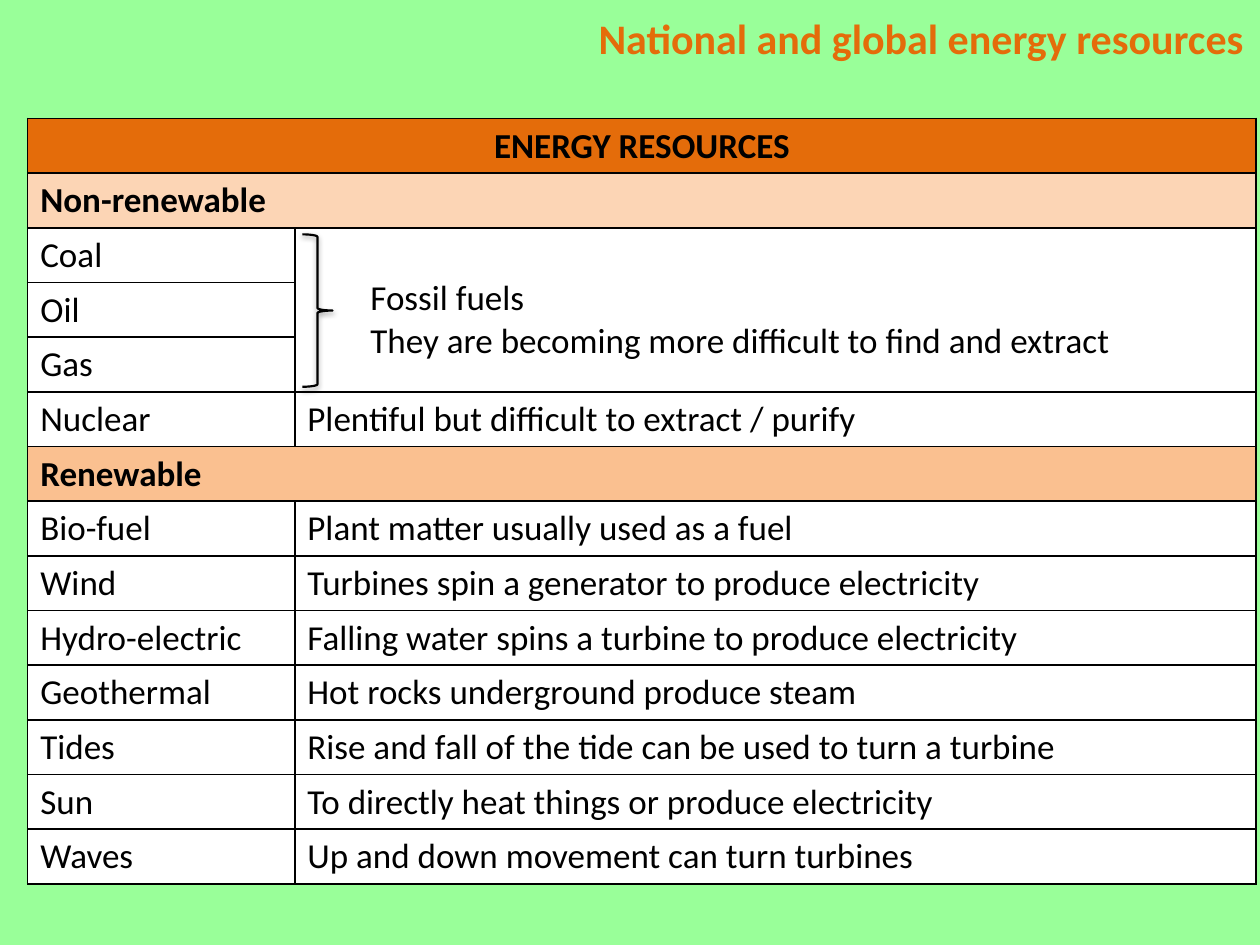
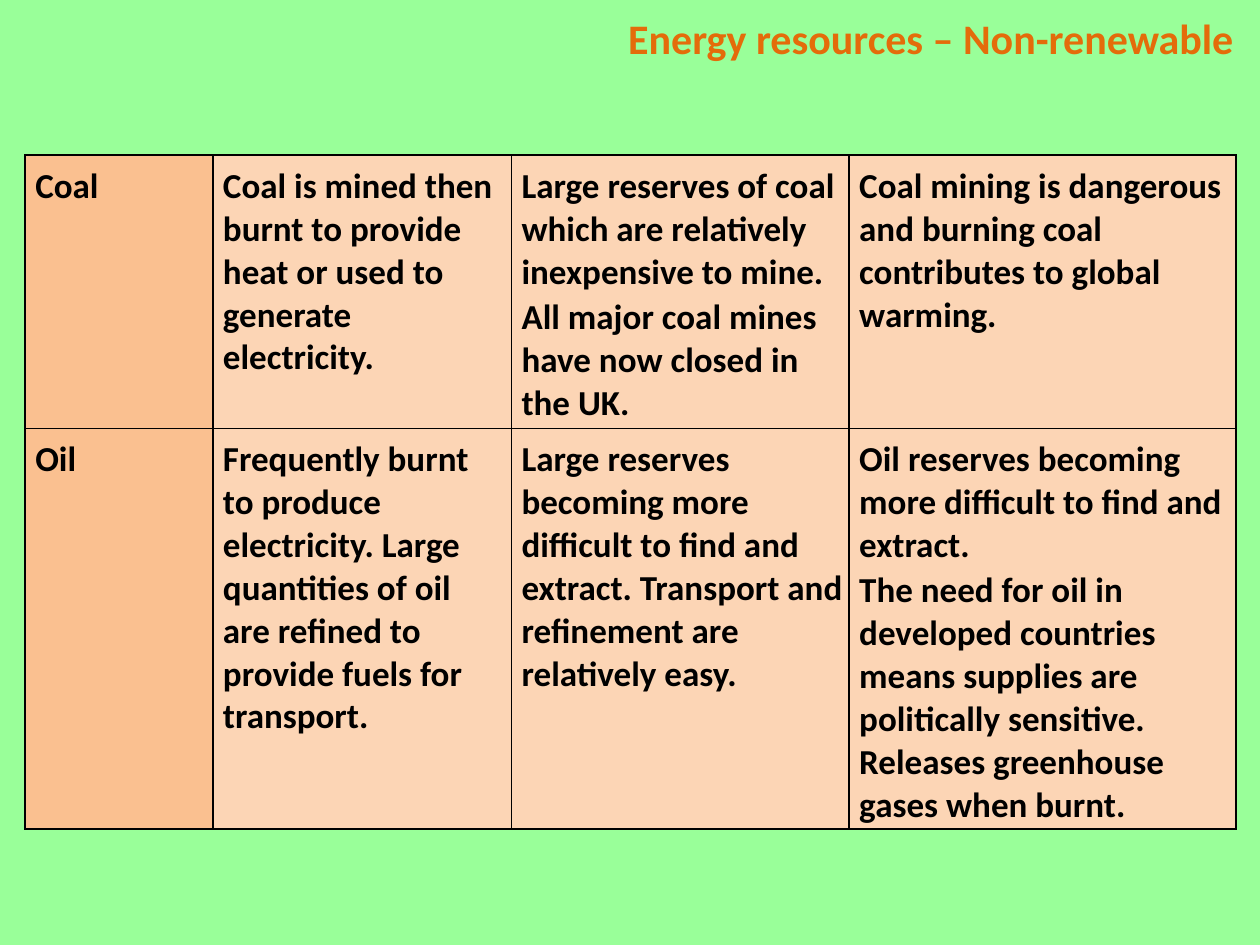
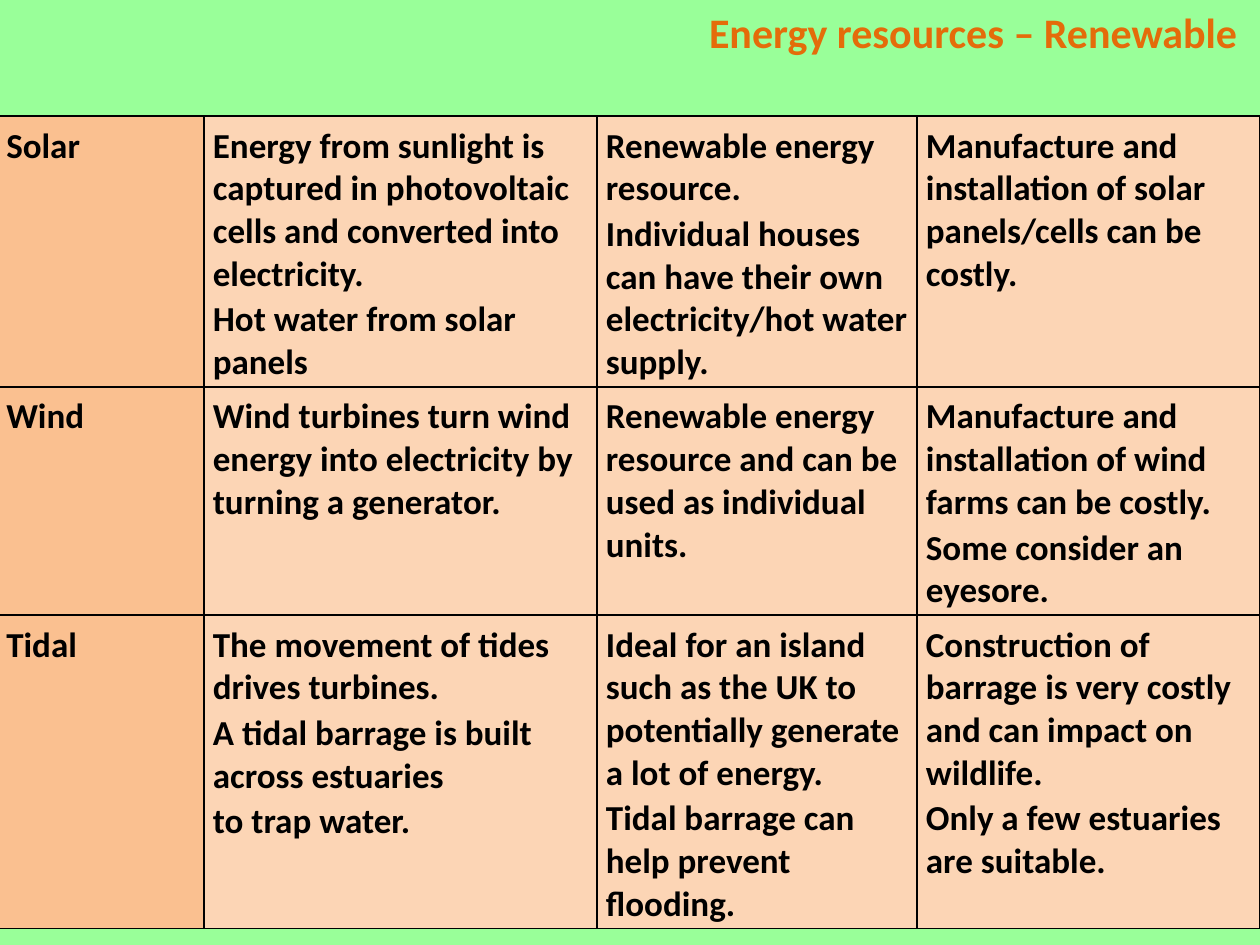
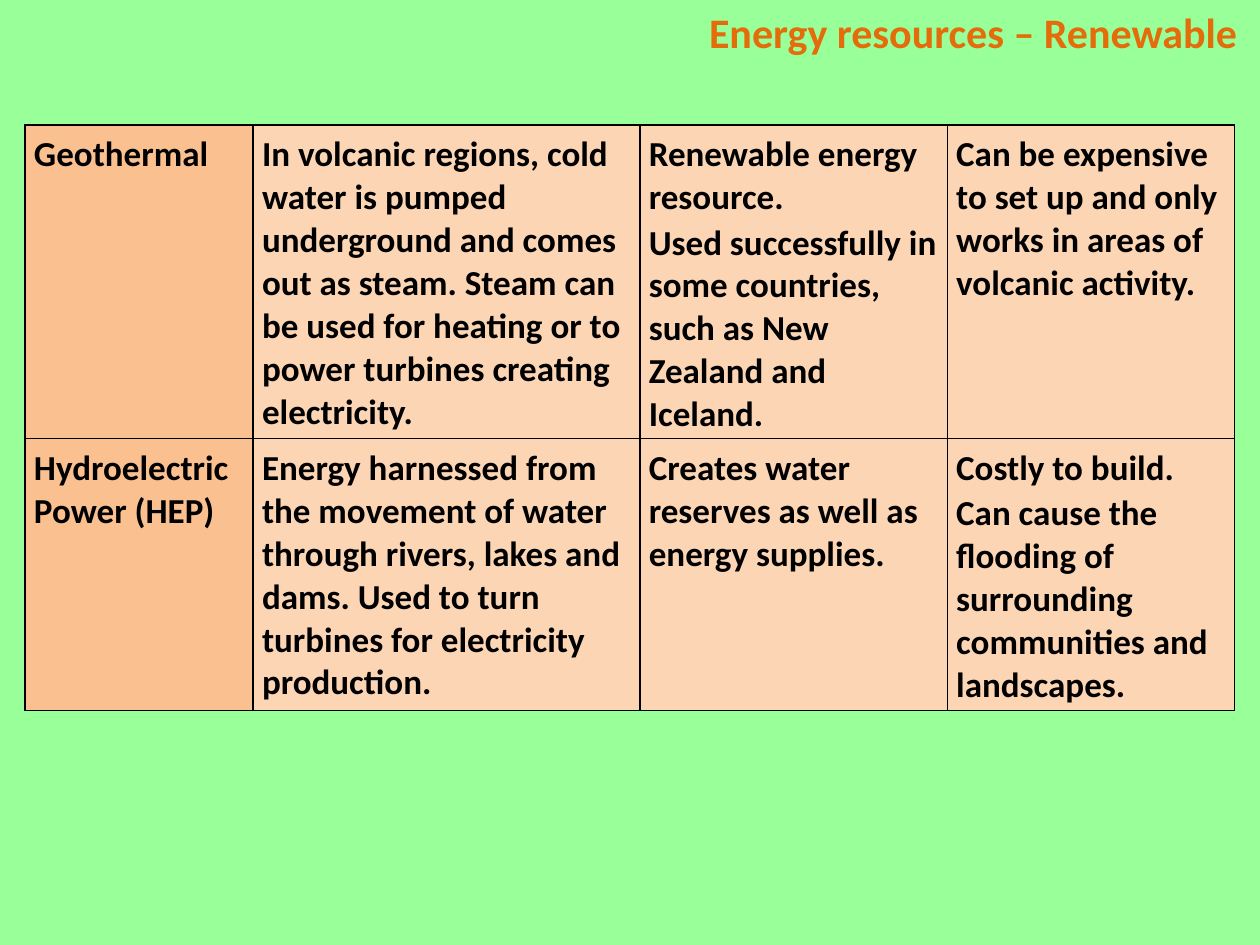
from lxml import etree
from pptx import Presentation
from pptx.dml.color import RGBColor
from pptx.enum.shapes import MSO_SHAPE
from pptx.enum.text import MSO_AUTO_SIZE, PP_ALIGN
from pptx.oxml import parse_xml
from pptx.oxml.ns import nsdecls
from pptx.util import Inches, Pt

RIGHT, CENTER, LEFT = PP_ALIGN.RIGHT, PP_ALIGN.CENTER, PP_ALIGN.LEFT
FIT_SHAPE = MSO_AUTO_SIZE.SHAPE_TO_FIT_TEXT
RIGHT_BRACE = MSO_SHAPE.RIGHT_BRACE

GREEN = RGBColor(0x99, 0xFF, 0x99)
ORANGE = RGBColor(0xE4, 0x6C, 0x0A)
PEACH = RGBColor(0xFA, 0xC0, 0x90)
PALE_PEACH = RGBColor(0xFC, 0xD5, 0xB5)
WHITE = RGBColor(0xFF, 0xFF, 0xFF)
BLACK = RGBColor(0x00, 0x00, 0x00)
FONT = "Calibri"

deck = Presentation()
deck.slide_width, deck.slide_height = Inches(10), Inches(7.5)


def add_page(title, title_left, title_top, title_gap, left, top, widths, heights):
    page = deck.slides.add_slide(deck.slide_layouts[6])
    page.background.fill.solid()
    page.background.fill.fore_color.rgb = GREEN

    box = page.shapes.add_textbox(
        Inches(title_left), Inches(title_top), Inches(8.54), Inches(0.5))
    frame = box.text_frame
    frame.word_wrap = True
    frame.auto_size = FIT_SHAPE
    frame.margin_right = Inches(title_gap)
    para = frame.paragraphs[0]
    para.text = title
    para.alignment = RIGHT
    para.font.name, para.font.size, para.font.bold = FONT, Pt(24), True
    para.font.color.rgb = ORANGE

    table = page.shapes.add_table(
        len(heights), len(widths), Inches(left), Inches(top),
        Inches(sum(widths)), Inches(sum(heights))).table
    table.first_row = table.horz_banding = False
    for column, width in zip(table.columns, widths):
        column.width = Inches(width)
    for row, height in zip(table.rows, heights):
        row.height = Inches(height)
    for cell in table.iter_cells():
        properties = cell._tc.get_or_add_tcPr()
        for side in ("lnL", "lnR", "lnT", "lnB"):
            properties.append(parse_xml(
                f'<a:{side} {nsdecls("a")} w="12700"><a:solidFill>'
                f'<a:srgbClr val="{BLACK}"/></a:solidFill></a:{side}>'))
    return page, table


def write_cell(cell, text, fill, bold, margins, before=0, after=0, align=LEFT):
    cell.fill.solid()
    cell.fill.fore_color.rgb = fill
    (cell.margin_left, cell.margin_top,
     cell.margin_right, cell.margin_bottom) = [Inches(margin) for margin in margins]
    cell.text = text
    for para in cell.text_frame.paragraphs:
        para.alignment = align
        para.space_before, para.space_after = Pt(before), Pt(after)
        para.font.name, para.font.size, para.font.bold = FONT, Pt(20), bold
        para.font.color.rgb = BLACK


resources = [
    ("ENERGY RESOURCES",),
    ("Non-renewable",),
    ("Coal", "Fossil fuels\nThey are becoming more difficult to find and extract"),
    ("Oil",),
    ("Gas",),
    ("Nuclear", "Plentiful but difficult to extract / purify"),
    ("Renewable",),
    ("Bio-fuel", "Plant matter usually used as a fuel"),
    ("Wind", "Turbines spin a generator to produce electricity"),
    ("Hydro-electric", "Falling water spins a turbine to produce electricity"),
    ("Geothermal", "Hot rocks underground produce steam"),
    ("Tides", "Rise and fall of the tide can be used to turn a turbine"),
    ("Sun", "To directly heat things or produce electricity"),
    ("Waves", "Up and down movement can turn turbines"),
]
bands = {"ENERGY RESOURCES": ORANGE, "Non-renewable": PALE_PEACH, "Renewable": PEACH}
plain_margins = (0.1, 0.05, 0.1, 0.05)
fossil_margins = (0.6, 0.39, 0.1, 0.05)

page, table = add_page("National and global energy resources", 1.43, 0.05, 0.1,
                       0.22, 0.94, (2.12, 7.63), [6.07 / len(resources)] * len(resources))
for row, texts in enumerate(resources):
    name = texts[0]
    if name in bands:
        table.cell(row, 0).merge(table.cell(row, 1))
    for column, text in enumerate(texts):
        write_cell(table.cell(row, column), text, bands.get(name, WHITE), name in bands,
                   fossil_margins if "\n" in text else plain_margins,
                   align=CENTER if row == 0 else LEFT)
table.cell(2, 1).merge(table.cell(4, 1))

brace = page.shapes.add_shape(
    RIGHT_BRACE, Inches(2.4), Inches(1.86), Inches(0.24), Inches(1.21))
brace.fill.background()
brace.line.color.rgb = BLACK
brace.line.width = Pt(1.25)
brace.shadow.inherit = False
effects = brace._element.spPr.find("{*}effectLst")
shadow = etree.SubElement(effects, effects.tag.replace("effectLst", "outerShdw"),
                          blurRad=str(Pt(3.1)), dist=str(Pt(1.6)), dir="5400000",
                          rotWithShape="0")
shadow.append(parse_xml(
    f'<a:srgbClr {nsdecls("a")} val="{BLACK}"><a:alpha val="38000"/></a:srgbClr>'))

comparisons = [
    (("Energy resources – Non-renewable", 1.43, 0.05, 0.18,
      0.2, 1.23, (1.49, 2.37, 2.68, 3.07), (2.17, 3.18)), 0.08, [
        ("Coal",
         "Coal is mined then burnt to provide heat or used to generate electricity.",
         "Large reserves of coal which are relatively inexpensive to mine.\n"
         "All major coal mines have now closed in the UK.",
         "Coal mining is dangerous and burning coal contributes to global warming."),
        ("Oil",
         "Frequently burnt to produce electricity. Large quantities of oil are refined "
         "to provide fuels for transport.",
         "Large reserves becoming more difficult to find and extract. Transport and "
         "refinement are relatively easy.",
         "Oil reserves becoming more difficult to find and extract.\n"
         "The need for oil in developed countries means supplies are politically "
         "sensitive. Releases greenhouse gases when burnt."),
    ]),
    (("Energy resources – Renewable", 1.46, 0, 0.18,
      -0.02, 0.92, (1.64, 3.12, 2.54, 2.72), (2.15, 1.81, 2.49)), 0.07, [
        ("Solar",
         "Energy from sunlight is captured in photovoltaic cells and converted into "
         "electricity.\nHot water from solar panels",
         "Renewable energy resource.\n"
         "Individual houses can have their own electricity/hot water supply.",
         "Manufacture and installation of solar panels/cells can be costly."),
        ("Wind",
         "Wind turbines turn wind energy into electricity by turning a generator.",
         "Renewable energy resource and can be used as individual units.",
         "Manufacture and installation of wind farms can be costly.\n"
         "Some consider an eyesore."),
        ("Tidal",
         "The movement of tides drives turbines.\n"
         "A tidal barrage is built across estuaries\nto trap water.",
         "Ideal for an island such as the UK to potentially generate a lot of energy.\n"
         "Tidal barrage can help prevent flooding.",
         "Construction of barrage is very costly and can impact on wildlife.\n"
         "Only a few estuaries are suitable."),
    ]),
    (("Energy resources – Renewable", 1.46, 0, 0.18,
      0.2, 0.99, (1.81, 3.07, 2.44, 2.28), (2.49, 2.16)), 0.07, [
        ("Geothermal",
         "In volcanic regions, cold water is pumped underground and comes out as steam. "
         "Steam can be used for heating or to power turbines creating electricity.",
         "Renewable energy resource.\n"
         "Used successfully in some countries, such as New Zealand and Iceland.",
         "Can be expensive to set up and only works in areas of volcanic activity."),
        ("Hydroelectric Power (HEP)",
         "Energy harnessed from the movement of water through rivers, lakes and dams. "
         "Used to turn turbines for electricity production.",
         "Creates water reserves as well as energy supplies.",
         "Costly to build.\n"
         "Can cause the flooding of surrounding communities and landscapes."),
    ]),
]
for setup, inset, rows in comparisons:
    page, table = add_page(*setup)
    for row, texts in enumerate(rows):
        for column, text in enumerate(texts):
            write_cell(table.cell(row, column), text, PALE_PEACH if column else PEACH,
                       True, (inset, inset, 0.05, 0.02),
                       before=1.4, after=0 if column else 6)

deck.save("out.pptx")
